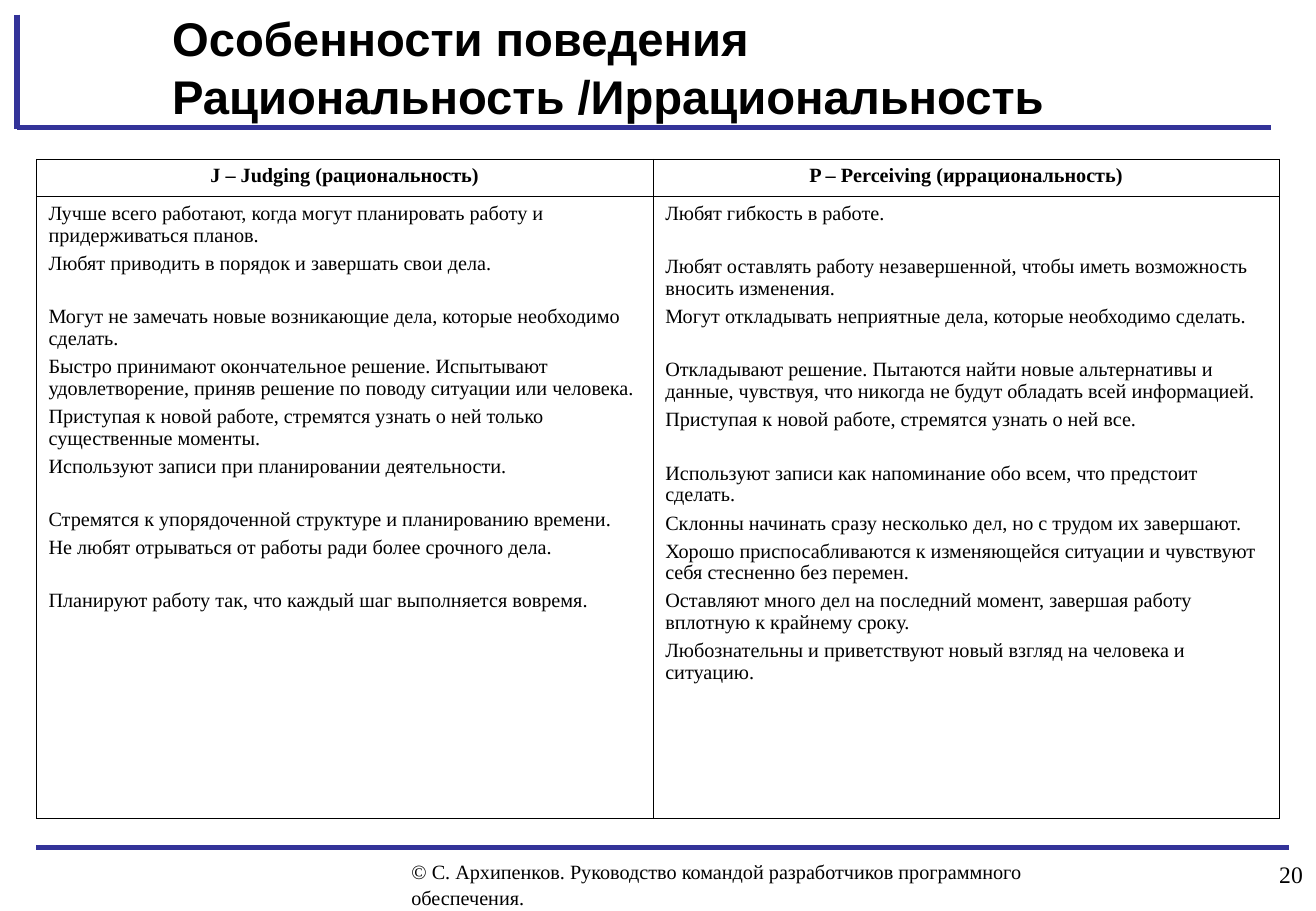
from lxml import etree
from pptx import Presentation
from pptx.dml.color import RGBColor
from pptx.enum import shapes, text
from pptx.oxml import ns
from pptx.util import Inches, Pt

BLACK = RGBColor(0x00, 0x00, 0x00)
RULE_BLUE = RGBColor(0x33, 0x33, 0x99)
SERIF = "Times New Roman"
GAP, WIDE_GAP = 3.7, 18.7  # the wide gap leaves room for one more line

HEADERS = ["J – Judging (рациональность)", "P – Perceiving (иррациональность)"]
JUDGING = [
    ("Лучше всего работают, когда могут планировать работу и придерживаться планов.", GAP),
    ("Любят приводить в порядок и завершать свои дела.", WIDE_GAP),
    ("Могут не замечать новые возникающие дела, которые необходимо сделать.", GAP),
    ("Быстро принимают окончательное решение. Испытывают удовлетворение, "
     "приняв решение по поводу ситуации или человека.", GAP),
    ("Приступая к новой работе, стремятся узнать о ней только существенные моменты.", GAP),
    ("Используют записи при планировании деятельности.", WIDE_GAP),
    ("Стремятся к упорядоченной структуре и планированию времени.", GAP),
    ("Не любят отрываться от работы ради более срочного дела.", WIDE_GAP),
    ("Планируют работу так, что каждый шаг выполняется вовремя.", GAP),
]
PERCEIVING = [
    ("Любят гибкость в работе.", WIDE_GAP),
    ("Любят оставлять работу незавершенной, чтобы иметь возможность вносить изменения.", GAP),
    ("Могут откладывать неприятные дела, которые необходимо сделать.", WIDE_GAP),
    ("Откладывают решение. Пытаются найти новые альтернативы и данные, "
     "чувствуя, что никогда не будут обладать всей информацией.", GAP),
    ("Приступая к новой работе, стремятся узнать о ней все.", WIDE_GAP),
    ("Используют записи как напоминание обо всем, что предстоит сделать.", GAP),
    ("Склонны начинать сразу несколько дел, но с трудом их завершают.", GAP),
    ("Хорошо приспосабливаются к изменяющейся ситуации и чувствуют себя "
     "стесненно без перемен.", GAP),
    ("Оставляют много дел на последний момент, завершая работу вплотную "
     "к крайнему сроку.", GAP),
    ("Любознательны и приветствуют новый взгляд на человека и ситуацию.", GAP),
]


def write_paragraphs(frame, items, size, spacing, font=SERIF, bold=False,
                     align=text.PP_ALIGN.LEFT):
    """Fill a text frame with (wording, space after) pairs in one style."""
    frame.word_wrap = True
    for index, (wording, gap) in enumerate(items):
        paragraph = frame.paragraphs[0] if index == 0 else frame.add_paragraph()
        paragraph.text = wording
        paragraph.alignment = align
        paragraph.line_spacing = spacing
        paragraph.space_after = Pt(gap)
        for name, value in {"name": font, "size": Pt(size), "bold": bold}.items():
            setattr(paragraph.font, name, value)
        paragraph.font.color.rgb = BLACK


def add_cell_borders(cell):
    properties = cell._tc.get_or_add_tcPr()
    for position, side in enumerate(("a:lnL", "a:lnR", "a:lnT", "a:lnB")):
        border = etree.Element(ns.qn(side), w=str(Pt(0.45)))
        fill = etree.SubElement(border, ns.qn("a:solidFill"))
        etree.SubElement(fill, ns.qn("a:srgbClr"), val=str(BLACK))
        properties.insert(position, border)


presentation = Presentation()
presentation.slide_width = Inches(10.84)
presentation.slide_height = Inches(7.5)
slide = presentation.slides.add_slide(presentation.slide_layouts[6])

# Blue rules
for ends in [(0.3, 6.98, 10.62, 6.98), (0.14, 1.05, 10.47, 1.05), (0.14, 0.12, 0.14, 1.06)]:
    rule = slide.shapes.add_connector(shapes.MSO_CONNECTOR.STRAIGHT, *map(Inches, ends))
    rule.line.color.rgb = RULE_BLUE
    rule.line.width = Pt(3)
    etree.SubElement(rule._element.spPr, ns.qn("a:effectLst"))

# Title, footer and page number
footer = "© С. Архипенков. Руководство командой разработчиков программного обеспечения."
title = "Особенности поведения\vРациональность /Иррациональность"
for box, wording, anchor, style in [
    ((3.29, 7.01, 5.72, 0.49), footer, text.MSO_ANCHOR.TOP, {"size": 12, "spacing": 1.07}),
    ((9.51, 7.01, 1.32, 0.49), "20", text.MSO_ANCHOR.TOP,
     {"size": 14, "spacing": 1.07, "align": text.PP_ALIGN.RIGHT}),
    ((1.32, 0.12, 8.99, 0.84), title, text.MSO_ANCHOR.MIDDLE,
     {"size": 28, "spacing": 1.03, "font": "Arial", "bold": True}),
]:
    shape = slide.shapes.add_textbox(*map(Inches, box))
    shape.text_frame.vertical_anchor = anchor
    write_paragraphs(shape.text_frame, [(wording, 0)], **style)

# Comparison table
table = slide.shapes.add_table(
    2, 2, Inches(0.3), Inches(1.31), Inches(10.24), Inches(5.43)).table
table.first_row = table.horz_banding = False
for row, height in zip(table.rows, (0.31, 5.12)):
    row.height = Inches(height)
for column, width in zip(table.columns, (5.08, 5.16)):
    column.width = Inches(width)
for index, (header, traits) in enumerate(zip(HEADERS, (JUDGING, PERCEIVING))):
    write_paragraphs(table.cell(0, index).text_frame, [(header, GAP)], 12, 0.97,
                     bold=True, align=text.PP_ALIGN.CENTER)
    write_paragraphs(table.cell(1, index).text_frame, traits, 12, 0.97)
for cell in table.iter_cells():
    cell.fill.background()
    add_cell_borders(cell)

presentation.save("out.pptx")
